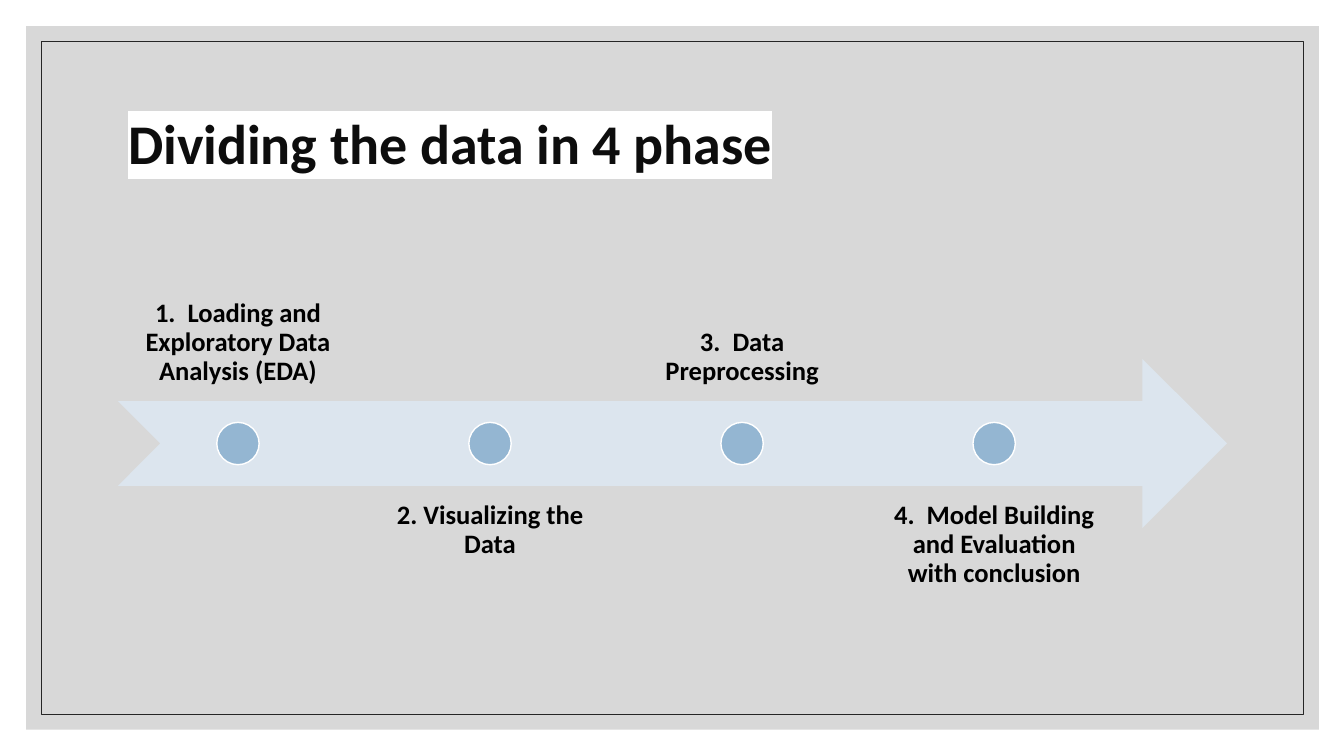
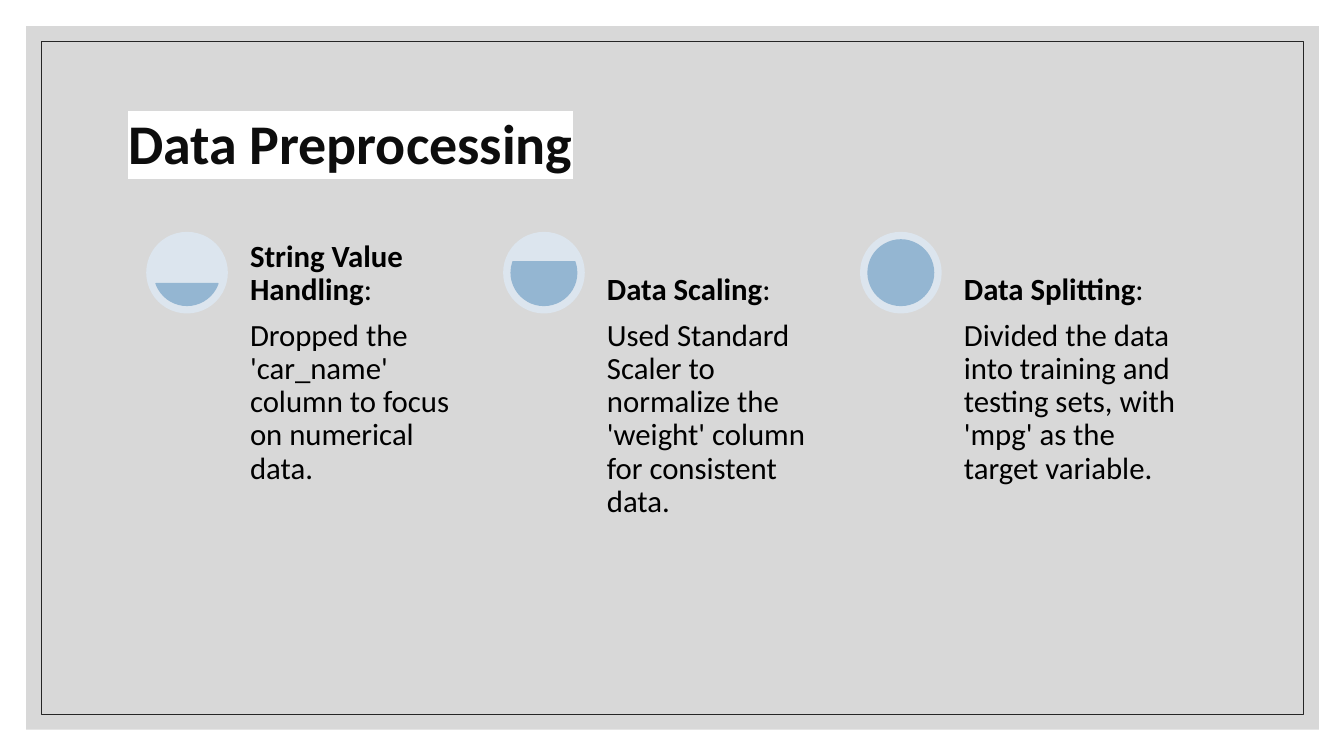
import math
from lxml import etree
from pptx import Presentation
from pptx.dml.color import RGBColor
from pptx.enum import shapes, text
from pptx.oxml import ns
from pptx.util import Inches, Pt

HUES = {
    "white": "FFFFFF", "mat": "BFBFBF", "frame": "262626", "title": "0D0D0D",
    "text": "000000", "pale": "DCE5EE", "blue": "94B6D2",
}
FORM = shapes.MSO_SHAPE
MID = text.MSO_ANCHOR.MIDDLE
TOP = text.MSO_ANCHOR.TOP
LOW = text.MSO_ANCHOR.BOTTOM
LEFT = text.PP_ALIGN.LEFT
MID_X = text.PP_ALIGN.CENTER


class Deck:
    font = "Calibri"

    def __init__(self):
        self.prs = Presentation()
        self.prs.slide_width = Inches(13.33)
        self.prs.slide_height = Inches(7.5)
        self.base = self.prs.slide_layouts[5]
        self.slide = None

    def hue(self, name):
        return RGBColor.from_string(HUES[name])

    def page(self, title):
        first = self.slide is None
        self.slide = self.prs.slides.add_slide(self.base)
        if first:
            self.frame()
        self.title(title)

    def frame(self):
        mat = self.shape(FORM.RECTANGLE, (0.26, 0.26, 12.82, 6.98), "mat")
        tint = mat.element.spPr.find(".//" + ns.qn("a:srgbClr"))
        etree.SubElement(tint, ns.qn("a:alpha"), val="60000")
        rim = self.shape(FORM.RECTANGLE, (0.41, 0.41, 12.52, 6.68), None, "frame", 0.5)
        tree = self.base.shapes.element
        for i, part in enumerate((mat, rim)):
            part.element.xpath(".//p:cNvPr")[0].set("id", str(90 + i))
            tree.insert(2 + i, part.element)

    def place(self, item, box):
        item.left, item.top, item.width, item.height = map(Inches, box)

    def title(self, words):
        head = self.slide.shapes.title
        self.place(head, (1.17, 0.7, 11, 1.5))
        run = self.fill(head.text_frame, [(words, True)], 40, "title", MID, LEFT)
        mark = etree.Element(ns.qn("a:highlight"))
        etree.SubElement(mark, ns.qn("a:srgbClr"), val=HUES["white"])
        run.font.fill
        run._r.rPr.find(ns.qn("a:solidFill")).addnext(mark)

    def fill(self, frame, runs, size, hue, anchor, align):
        frame.word_wrap = True
        frame.auto_size = text.MSO_AUTO_SIZE.NONE
        frame.vertical_anchor = anchor
        para = frame.paragraphs[0]
        para.alignment = align
        para.line_spacing = 0.9
        for words, bold in runs:
            run = para.add_run()
            run.text = words
            run.font.name = self.font
            run.font.size = Pt(size)
            run.font.bold = bold
            run.font.color.rgb = self.hue(hue)
        return run

    def text(self, box, runs, size, inset, anchor=TOP, align=LEFT):
        frame = self.slide.shapes.add_textbox(*map(Inches, box)).text_frame
        frame.margin_left = frame.margin_right = Inches(inset)
        frame.margin_top = frame.margin_bottom = Inches(inset)
        self.fill(frame, runs, size, "text", anchor, align)

    def shape(self, form, box, fill=None, line=None, width=1):
        item = self.slide.shapes.add_shape(form, *map(Inches, box))
        item.shadow.inherit = False
        if fill:
            item.fill.solid()
            item.fill.fore_color.rgb = self.hue(fill)
        else:
            item.fill.background()
        if line:
            item.line.color.rgb = self.hue(line)
            item.line.width = Pt(width)
        else:
            item.line.fill.background()
        return item

    def gauge(self, left, top, share):
        self.shape(FORM.OVAL, (left, top, 0.81, 0.81), "pale")
        disc = self.shape(FORM.CHORD, (left + 0.08, top + 0.08, 0.65, 0.65), "blue", "blue")
        angle = math.degrees(math.asin(1 - 2 * share))
        disc.adjustments[0] = 0.6 * (angle % 360)
        disc.adjustments[1] = 0.6 * (180 - angle)

    def save(self):
        self.prs.save("out.pptx")


def phases(deck):
    deck.page("Dividing the data in 4 phase")
    deck.shape(FORM.NOTCHED_RIGHT_ARROW, (1.17, 3.56, 11, 1.68), "pale")
    steps = [
        "1.  Loading and Exploratory Data Analysis (EDA)",
        "2. Visualizing the Data",
        "3.  Data Preprocessing",
        "4.  Model Building and Evaluation with conclusion",
    ]
    for i, step in enumerate(steps):
        left = 1.17 + 2.5 * i
        top, anchor = (4.83, TOP) if i % 2 else (2.3, LOW)
        deck.text((left, top, 2.38, 1.68), [(step, True)], 19, 0.15, anchor, MID_X)
        deck.shape(FORM.OVAL, (left + 0.98, 4.19, 0.42, 0.42), "blue", "white")


def prep(deck):
    deck.page("Data Preprocessing")
    tasks = [
        ("String Value Handling",
         "Dropped the 'car_name' column to focus on numerical data."),
        ("Data Scaling",
         "Used Standard Scaler to normalize the 'weight' column for consistent data."),
        ("Data Splitting",
         "Divided the data into training and testing sets, with 'mpg' as the target variable."),
    ]
    for i, (head, body) in enumerate(tasks):
        left = 1.45 + 3.54 * i
        deck.gauge(left, 2.3, (i + 1) / len(tasks))
        deck.text((left + 0.97, 3.11, 2.39, 3.4), [(body, False)], 22, 0.06)
        deck.text((left + 0.97, 2.3, 2.39, 0.81), [(head, True), (":", False)], 22, 0.06, LOW)


def main():
    deck = Deck()
    phases(deck)
    prep(deck)
    deck.save()


if __name__ == "__main__":
    main()
